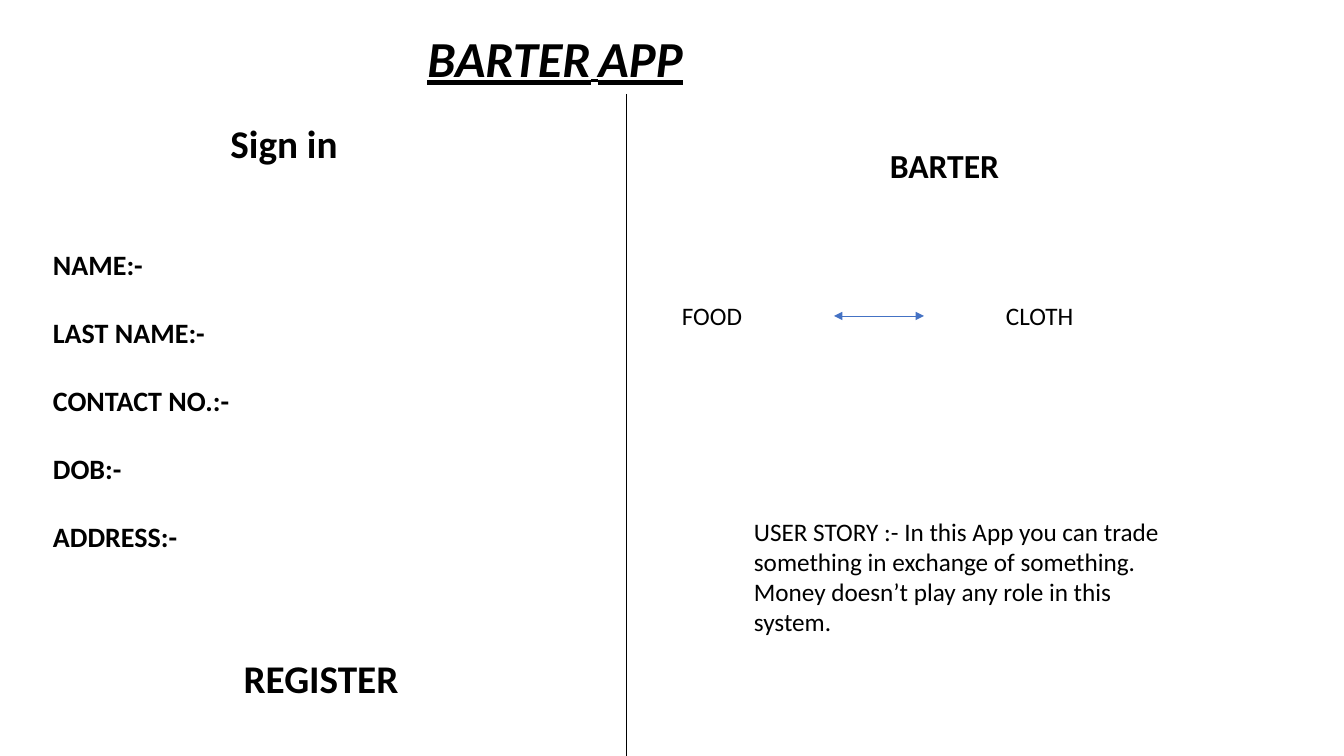
"""Build the Barter App wireframe slide: sign-in form and barter panel."""
from lxml import etree
from pptx import Presentation
from pptx.dml.color import RGBColor
from pptx.enum.shapes import MSO_CONNECTOR
from pptx.enum.text import MSO_ANCHOR, PP_ALIGN
from pptx.oxml.ns import qn
from pptx.util import Pt

LEFT, CENTER, TOP = PP_ALIGN.LEFT, PP_ALIGN.CENTER, MSO_ANCHOR.TOP
STRAIGHT = MSO_CONNECTOR.STRAIGHT

PX = 914400 / 100.8
SLIDE = (1344, 756)
THEME = {
    "font": "Calibri", "text": "000000", "arrow": "4472C4", "line": 0.5,
    "title": 36, "gap": 24, "heading": 28, "panel": 24, "field": 20,
    "body": 18, "field_gap": 24.4,
}

BOLD = {"bold": True}
TITLE = {"bold": True, "italic": True, "underline": True}

TEXTS = [
    ((339, 22, 432, 72), CENTER, TITLE,
     [[("BARTER", "title"), (" ", "gap"), ("APP", "title")]]),
    ((149, 114, 270, 57), CENTER, BOLD, [[("Sign in", "heading")]]),
    ((43, 243, 471, 316), LEFT, BOLD,
     [[(label, "field")] for label in
      ("NAME:-", "LAST NAME:-", "CONTACT NO.:-", "DOB:-", "ADDRESS:-")]),
    ((129, 649, 384, 57), CENTER, BOLD, [[("REGISTER", "heading")]]),
    ((787, 140, 315, 50), CENTER, BOLD, [[("BARTER", "panel")]]),
    ((672, 295, 162, 42), LEFT, {}, [[("FOOD", "body")]]),
    ((996, 295, 93, 40), LEFT, {}, [[("CLOTH", "body")]]),
    ((744, 511, 456, 132), LEFT, {},
     [[("USER STORY :- In this App you can trade something in exchange of "
        "something. Money doesn’t play any role in this system.", "body")]]),
]
LINES = [
    ((626, 94, 626, 756), "text", ()),
    ((834, 316, 924, 316), "arrow", ("headEnd", "tailEnd")),
]


def px(*values):
    return [round(v * PX) for v in values]


def set_all(obj, values):
    for name, value in values.items():
        setattr(obj, name, value)


def add_text(s, box, align, style, paragraphs):
    tf = s.shapes.add_textbox(*px(*box)).text_frame
    set_all(tf, {"word_wrap": True, "vertical_anchor": TOP})
    for i, runs in enumerate(paragraphs):
        p = tf.add_paragraph() if i else tf.paragraphs[0]
        p.alignment = align
        if i:
            p.space_before = Pt(THEME["field_gap"])
        for text, size in runs:
            r = p.add_run()
            r.text = text
            set_all(r.font, {"name": THEME["font"], "size": Pt(THEME[size]), **style})
            r.font.color.rgb = RGBColor.from_string(THEME["text"])


def add_line(s, ends, color, arrowheads):
    sp = s.shapes.add_connector(STRAIGHT, *px(*ends))
    sp.line.color.rgb = RGBColor.from_string(THEME[color])
    sp.line.width = Pt(THEME["line"])
    ln = sp.line._get_or_add_ln()
    for end in arrowheads:
        etree.SubElement(ln, qn(f"a:{end}"), type="triangle")
    etree.SubElement(sp._element.spPr, qn("a:effectLst"))


def main():
    prs = Presentation()
    prs.slide_width, prs.slide_height = px(*SLIDE)
    s = prs.slides.add_slide(prs.slide_layouts[6])
    for text in TEXTS:
        add_text(s, *text)
    for line in LINES:
        add_line(s, *line)
    prs.save("out.pptx")


if __name__ == "__main__":
    main()
